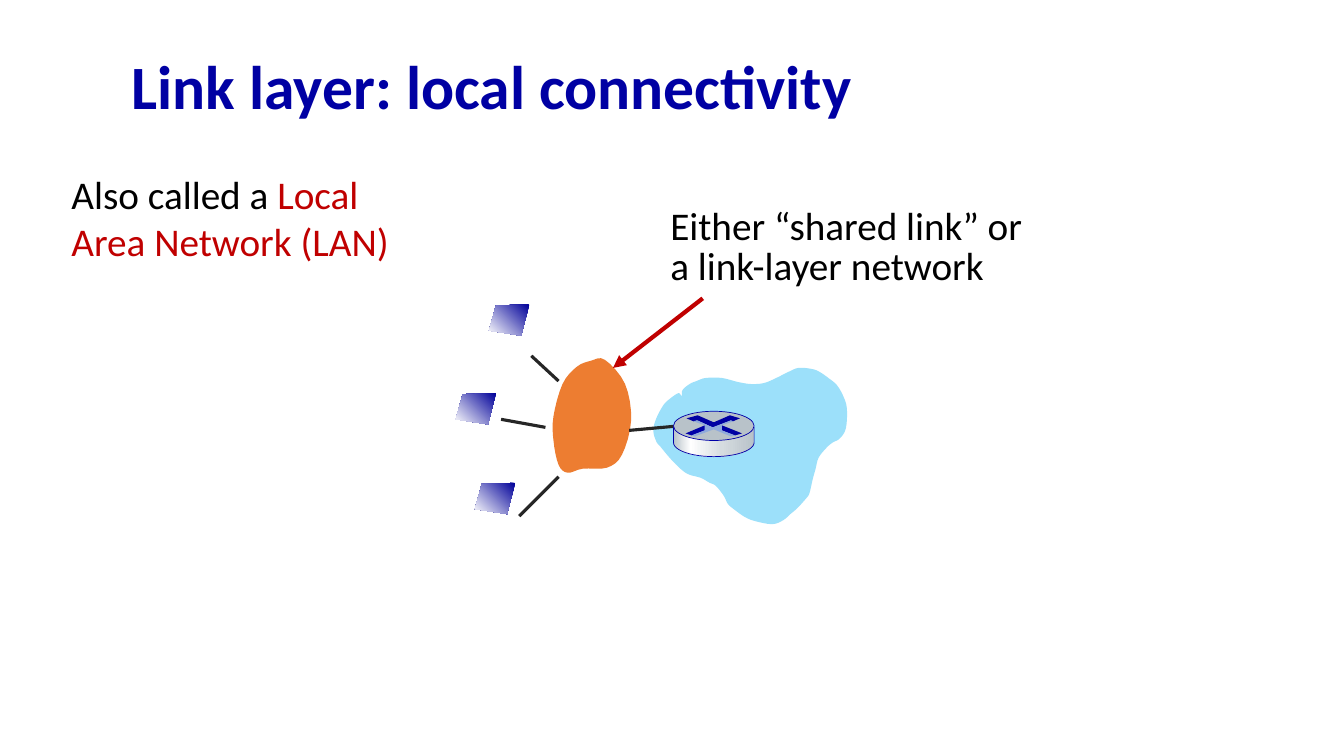
from math import cos, pi, sin

from lxml.etree import SubElement
from pptx import Presentation
from pptx.dml.color import RGBColor
from pptx.enum.shapes import MSO_CONNECTOR, MSO_SHAPE
from pptx.enum.text import MSO_ANCHOR
from pptx.oxml import parse_xml
from pptx.oxml.ns import nsdecls, qn
from pptx.util import Inches, Pt

COLORS = {
    "title": "0000A3", "text": "000000", "accent": "C00000",
    "cloud": "9CE0FA", "hub": "ED7D31", "link": "262626",
    "screen": "000099", "white": "FFFFFF", "steel": "B8C2C9",
    "pale steel": "D6DCE0", "rim": "0000A8", "cross": "8FAADC",
}


def rgb(name):
    return RGBColor.from_string(COLORS[name])


def add_outline(points, fill=None, gradient=None, angle=0, smooth=False):
    """Closed outline in inches; smooth rounds it with a Catmull-Rom curve."""
    if smooth:
        curve = []
        for i in range(len(points)):
            a, b, c, d = (points[(i + k) % len(points)] for k in (-1, 0, 1, 2))
            for t in (0, 0.25, 0.5, 0.75):
                curve.append(tuple(
                    q + ((r - p) * t + (2 * p - 5 * q + 4 * r - s) * t ** 2
                         + (3 * q - p - 3 * r + s) * t ** 3) / 2
                    for p, q, r, s in zip(a, b, c, d)))
        points = curve
    corners = [(Inches(x), Inches(y)) for x, y in points]
    builder = page.shapes.build_freeform(*corners[0])
    builder.add_line_segments(corners[1:], close=True)
    shape = builder.convert_to_shape()
    shape.shadow.inherit = False
    shape.line.fill.background()
    if gradient:
        stops = "".join(
            f'<a:gs pos="{position * 1000}"><a:srgbClr val="{COLORS[name]}"/></a:gs>'
            for position, name in gradient)
        geometry = shape.element.spPr.find(qn("a:custGeom"))
        geometry.addnext(parse_xml(
            f'<a:gradFill {nsdecls("a")} rotWithShape="1"><a:gsLst>{stops}</a:gsLst>'
            f'<a:lin ang="{angle * 60000}" scaled="0"/></a:gradFill>'))
    else:
        shape.fill.solid()
        shape.fill.fore_color.rgb = rgb(fill)
    return shape


deck = Presentation()
deck.slide_width, deck.slide_height = Inches(13.33), Inches(7.5)
page = deck.slides.add_slide(deck.slide_layouts[6])

# Network cloud
add_outline([
    (6.76, 3.93), (6.77, 3.87), (6.84, 3.81), (6.91, 3.78), (7, 3.75), (7.16, 3.75),
    (7.32, 3.79), (7.45, 3.81), (7.58, 3.8), (7.7, 3.75), (7.82, 3.69), (7.92, 3.65),
    (8.05, 3.66), (8.13, 3.69), (8.23, 3.76), (8.3, 3.82), (8.36, 3.92), (8.4, 4.05),
    (8.39, 4.25), (8.33, 4.35), (8.26, 4.39), (8.2, 4.44), (8.12, 4.54), (8.09, 4.65),
    (8.06, 4.76), (8.03, 4.89), (8, 4.94), (7.91, 5.04), (7.84, 5.1), (7.77, 5.16),
    (7.66, 5.2), (7.49, 5.17), (7.39, 5.13), (7.29, 5.06), (7.22, 5), (7.18, 4.92),
    (7.1, 4.82), (7.04, 4.79), (6.95, 4.74), (6.84, 4.71), (6.76, 4.66), (6.65, 4.55),
    (6.55, 4.43), (6.51, 4.38), (6.48, 4.27), (6.51, 4.15), (6.58, 4.02), (6.64, 3.96),
    (6.73, 3.9),
], "cloud", smooth=True)

# Host screens
for left, top in ((4.85, 3.02), (4.52, 3.9), (4.71, 4.79)):
    add_outline(
        [(left + x, top + y) for x, y in ((0.4, 0), (0.07, 0.01), (0, 0.26), (0.32, 0.31))],
        gradient=[(0, "screen"), (100, "white")], angle=135)

# Shared link
add_outline([
    (5.72, 3.64), (5.58, 3.81), (5.49, 4.13), (5.49, 4.37), (5.54, 4.61), (5.63, 4.69),
    (5.78, 4.65), (6.02, 4.64), (6.17, 4.51), (6.26, 4.17), (6.2, 3.81), (6, 3.57),
    (5.86, 3.58),
], "hub", smooth=True)

# Links and the callout arrow
for start_x, start_y, end_x, end_y, color, width in (
    (5.27, 3.53, 5.54, 3.78, "link", 2.25),
    (4.97, 4.16, 5.41, 4.24, "link", 2.25),
    (5.15, 5.12, 5.54, 4.73, "link", 2.25),
    (6.24, 4.27, 6.68, 4.23, "link", 2.25),
    (6.97, 2.96, 6.08, 3.65, "accent", 3),
):
    line = page.shapes.add_connector(
        MSO_CONNECTOR.STRAIGHT, Inches(start_x), Inches(start_y), Inches(end_x), Inches(end_y))
    line.line.color.rgb = rgb(color)
    line.line.width = Pt(width)
    if color == "accent":
        SubElement(line.line._get_or_add_ln(), qn("a:tailEnd"), type="triangle")
    SubElement(line.element.spPr, qn("a:effectLst"))

# Router: body, lid and crossed arrows
body = add_outline(
    [(6.68, 4.24)]
    + [(7.08 - 0.4 * cos(pi * i / 24), 4.39 + 0.14 * sin(pi * i / 24)) for i in range(25)]
    + [(7.48, 4.24)],
    gradient=[(0, "steel"), (21, "white"), (60, "pale steel"), (100, "steel")])
lid = page.shapes.add_shape(
    MSO_SHAPE.OVAL, Inches(6.68), Inches(4.08), Inches(0.8), Inches(0.29))
lid.shadow.inherit = False
lid.fill.solid()
lid.fill.fore_color.rgb = rgb("steel")
for part in (body, lid):
    part.line.color.rgb = rgb("rim")
    part.line.width = Pt(0.5)

for color, points in (
    ("title", [(7.24, 4.12), (7.34, 4.15), (7.27, 4.18), (7.25, 4.17), (7.07, 4.24),
               (6.92, 4.17), (6.88, 4.18), (6.81, 4.15), (6.92, 4.12), (7.08, 4.19)]),
    ("title", [(7.16, 4.22), (7.36, 4.3), (7.29, 4.32), (7.16, 4.27)]),
    ("rim", [(6.99, 4.22), (6.99, 4.27), (6.86, 4.32), (6.8, 4.3)]),
    ("cross", [(6.88, 4.18), (6.91, 4.17), (7.07, 4.24), (7.25, 4.17), (7.27, 4.18),
               (7.16, 4.22), (7.16, 4.27), (7.29, 4.32), (7.25, 4.33), (7.08, 4.26),
               (6.89, 4.33), (6.86, 4.32), (6.99, 4.27), (6.99, 4.22)]),
):
    add_outline(points, color)

# Title and notes
for left, top, width, height, size, spacing, indent, anchor, runs in (
    (1.21, 0.4, 11.5, 0.98, 44, 0.9, 0, MSO_ANCHOR.MIDDLE,
     [("Link layer: local connectivity", "title")]),
    (6.4, 2.02, 4, 1.4, 28, 0.85, 0.15, MSO_ANCHOR.TOP,
     [("Either “shared link” or a link-layer network", "text")]),
    (0.61, 1.64, 3.55, 1.04, 28, 1, 0, MSO_ANCHOR.TOP,
     [("Also called a ", "text"), ("Local Area Network (LAN)", "accent")]),
):
    box = page.shapes.add_textbox(Inches(left), Inches(top), Inches(width), Inches(height))
    box.text_frame.word_wrap = True
    box.text_frame.vertical_anchor = anchor
    para = box.text_frame.paragraphs[0]
    para.line_spacing = spacing
    if indent:
        para._p.get_or_add_pPr().set("marL", str(Inches(indent)))
    para.font.name = "Calibri"
    para.font.size = Pt(size)
    para.font.bold = size == 44
    for text, color in runs:
        span = para.add_run()
        span.text = text
        span.font.color.rgb = rgb(color)

deck.save("out.pptx")
